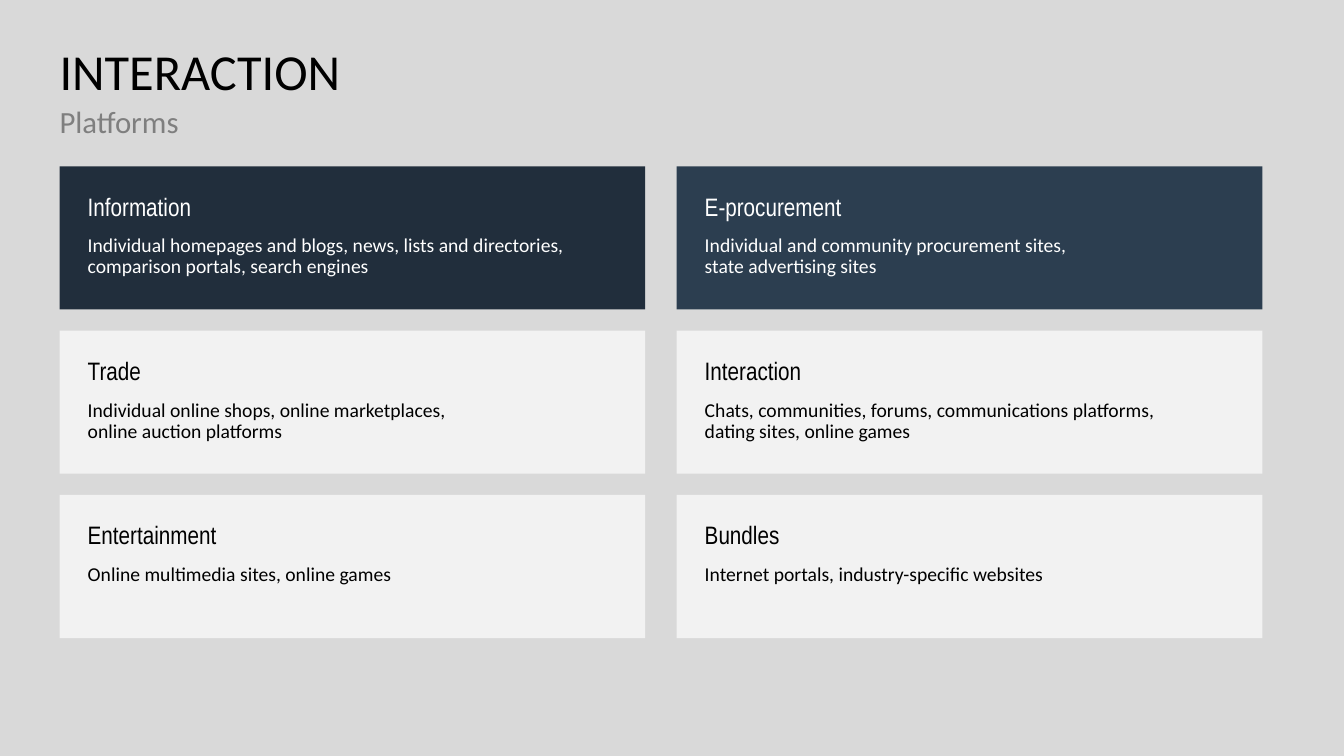
from dataclasses import dataclass

from pptx import Presentation
from pptx import util as u
from pptx.dml import color
from pptx.enum import shapes, text

LEFT, TOP = 0.59, 1.65
CARD_WIDTH, CARD_HEIGHT = 5.81, 1.42
COLUMN_PITCH, ROW_PITCH = 6.12, 1.63
COLUMNS = 2
PADDING = 0.28


@dataclass
class Line:
    wording: str
    size: int
    font: str
    ink: str


@dataclass
class Platform:
    name: str
    examples: str
    fill: str = "F2F2F2"
    ink: str = "000000"


PLATFORMS = [
    Platform("Information",
             "Individual homepages and blogs, news, lists and directories, "
             "comparison portals, search engines", "212E3C", "FFFFFF"),
    Platform("E-procurement",
             "Individual and community procurement sites,\nstate advertising sites",
             "2C3E50", "FFFFFF"),
    Platform("Trade",
             "Individual online shops, online marketplaces,\nonline auction platforms"),
    Platform("Interaction",
             "Chats, communities, forums, communications platforms,\n"
             "dating sites, online games"),
    Platform("Entertainment", "Online multimedia sites, online games"),
    Platform("Bundles", "Internet portals, industry-specific websites"),
]


def rgb(value: str) -> color.RGBColor:
    return color.RGBColor.from_string(value)


def write(frame, lines: list[Line], inset: float = 0) -> None:
    frame.word_wrap = True
    frame.vertical_anchor = text.MSO_ANCHOR.TOP
    frame.margin_left = frame.margin_right = u.Inches(inset)
    frame.margin_top = frame.margin_bottom = u.Inches(inset)
    for index, line in enumerate(lines):
        paragraph = frame.add_paragraph() if index else frame.paragraphs[0]
        paragraph.text = line.wording
        paragraph.alignment = text.PP_ALIGN.LEFT
        paragraph.line_spacing = 0.9
        paragraph.space_after = u.Pt(10)
        paragraph.font.size = u.Pt(line.size)
        paragraph.font.name = line.font
        paragraph.font.color.rgb = rgb(line.ink)


def add_heading(slide, top: float, height: float, line: Line) -> None:
    heading = slide.shapes.add_textbox(
        u.Inches(LEFT), u.Inches(top), u.Inches(8.05), u.Inches(height))
    write(heading.text_frame, [line])


def add_card(slide, left: float, top: float, platform: Platform) -> None:
    card = slide.shapes.add_shape(
        shapes.MSO_SHAPE.RECTANGLE, u.Inches(left), u.Inches(top),
        u.Inches(CARD_WIDTH), u.Inches(CARD_HEIGHT))
    card.shadow.inherit = False
    card.fill.solid()
    card.fill.fore_color.rgb = rgb(platform.fill)
    card.line.fill.background()
    write(card.text_frame, [
        Line(platform.name, 18, "Arial Narrow", platform.ink),
        Line(platform.examples, 14, "Calibri", platform.ink),
    ], PADDING)


def main() -> None:
    deck = Presentation()
    deck.slide_width, deck.slide_height = u.Inches(13.33), u.Inches(7.5)
    slide = deck.slides.add_slide(deck.slide_layouts[6])
    slide.background.fill.solid()
    slide.background.fill.fore_color.rgb = rgb("D9D9D9")

    # Title and subtitle
    add_heading(slide, 0.47, 0.59, Line("INTERACTION", 36, "Calibri", "000000"))
    add_heading(slide, 1.06, 0.59, Line("Platforms", 22, "Calibri", "7F7F7F"))

    # Grid of platform cards
    for index, platform in enumerate(PLATFORMS):
        row, column = divmod(index, COLUMNS)
        add_card(slide, LEFT + column * COLUMN_PITCH, TOP + row * ROW_PITCH, platform)

    deck.save("out.pptx")


if __name__ == "__main__":
    main()
